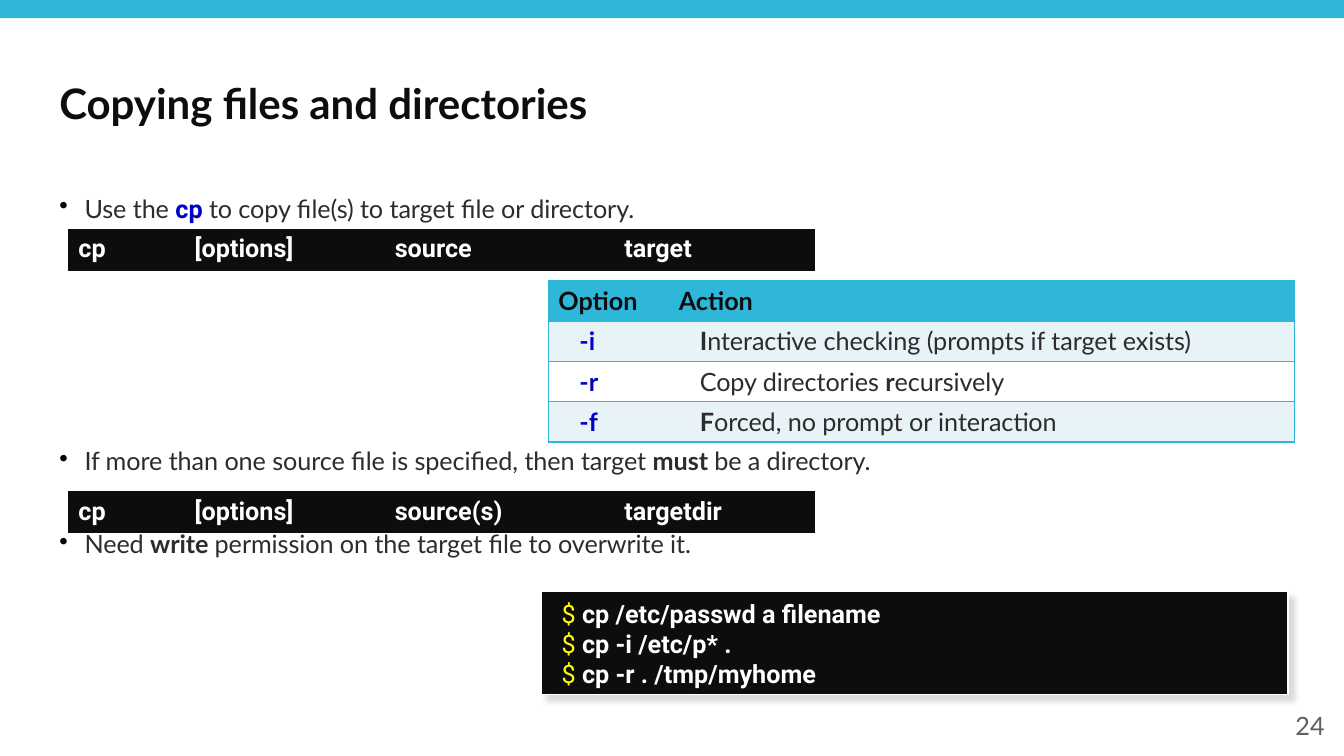
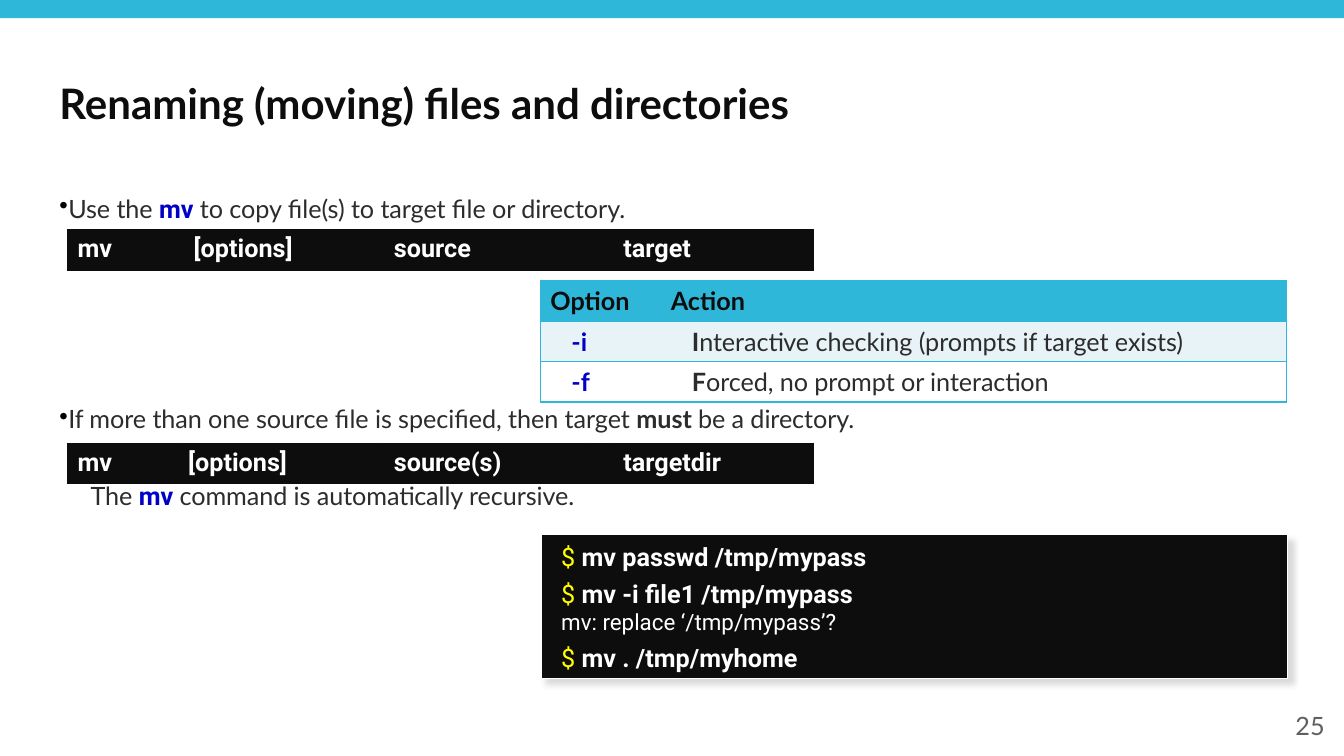
from dataclasses import dataclass

from lxml import etree
from pptx import Presentation
from pptx.dml.color import RGBColor
from pptx.enum.shapes import MSO_SHAPE
from pptx.enum.text import MSO_ANCHOR, PP_ALIGN
from pptx.oxml.ns import qn
from pptx.util import Pt

RECTANGLE = MSO_SHAPE.RECTANGLE
MIDDLE, TOP = MSO_ANCHOR.MIDDLE, MSO_ANCHOR.TOP
LEFT, RIGHT = PP_ALIGN.LEFT, PP_ALIGN.RIGHT


# Theme: every colour, font and type size
@dataclass(frozen=True)
class Theme:
    accent: str = "2FB7DA"
    ink: str = "0D0D0D"
    body: str = "2D2C2C"
    command: str = "0000C7"
    prompt: str = "FFFF00"
    muted: str = "5F5F5F"
    stripe: str = "E8F3F8"
    white: str = "FFFFFF"
    bullet: str = "000000"
    shadow: str = "DADADA"
    prose_font: str = "Lato"
    code_font: str = "Roboto"
    title_size: int = 30
    text_size: int = 18
    output_size: int = 16


THEME = Theme()


def text_style(color, name=THEME.prose_font, size=THEME.text_size, bold=False, spacing=0):
    return {"color": color, "spacing": spacing,
            "font": {"name": name, "size": Pt(size), "bold": bold}}


STYLES = {
    "title": text_style(THEME.ink, size=THEME.title_size, bold=True),
    "heading": text_style(THEME.ink, bold=True),
    "body": text_style(THEME.body, spacing=-6),
    "strong": text_style(THEME.body, bold=True, spacing=-6),
    "command": text_style(THEME.command, THEME.code_font, bold=True),
    "option": text_style(THEME.command, bold=True),
    "prompt": text_style(THEME.prompt, THEME.code_font),
    "code": text_style(THEME.white, THEME.code_font, bold=True),
    "output": text_style(THEME.white, THEME.code_font, THEME.output_size),
    "number": text_style(THEME.muted),
}

# Shared measures, in points
SLIDE_SIZE = (960, 540)
PANEL_WIDTH = 533
ROW_HEIGHT = 28.8
OPTION_COLUMNS = (86, 447)
OPTION_INDENT = 15


def set_all(target, formats):
    for name, value in formats.items():
        setattr(target, name, value)


def rgb(color):
    return RGBColor.from_string(color)


def add_color(parent, color):
    return etree.SubElement(parent, qn("a:srgbClr"), val=color)


# Text
def write_paragraph(paragraph, runs, left=0, indent=0, bullet=False, formats=None):
    properties = paragraph._p.get_or_add_pPr()
    properties.set("marL", str(Pt(left)))
    properties.set("indent", str(Pt(indent)))
    if bullet:
        add_color(etree.SubElement(properties, qn("a:buClr")), THEME.bullet)
        etree.SubElement(properties, qn("a:buChar"), char="•")
    set_all(paragraph, formats or {})
    for style_name, text in runs:
        style = STYLES[style_name]
        run = paragraph.add_run()
        run.text = text
        set_all(run.font, style["font"])
        run.font.color.rgb = rgb(style["color"])
        if style["spacing"]:
            run._r.get_or_add_rPr().set("spc", str(style["spacing"]))


def write_paragraphs(text_frame, paragraphs):
    for index, options in enumerate(paragraphs):
        paragraph = text_frame.paragraphs[0] if index == 0 else text_frame.add_paragraph()
        write_paragraph(paragraph, **options)


def add_text(slide, box, paragraphs, anchor=TOP):
    shape = slide.shapes.add_textbox(*map(Pt, box))
    set_all(shape.text_frame, {"word_wrap": True, "vertical_anchor": anchor})
    write_paragraphs(shape.text_frame, paragraphs)


# Shapes
def add_rectangle(slide, box, color):
    shape = slide.shapes.add_shape(RECTANGLE, *map(Pt, box))
    shape.shadow.inherit = False
    shape.fill.solid()
    shape.fill.fore_color.rgb = rgb(color)
    shape.line.fill.background()
    return shape


def add_terminal(slide, left, top, height, lines):
    shape = add_rectangle(slide, (left, top, PANEL_WIDTH, height), THEME.ink)
    shape.line.color.rgb = rgb(THEME.white)
    shape.line.width = Pt(1)
    effects = shape._element.spPr.find(qn("a:effectLst"))
    shadow = etree.SubElement(effects, qn("a:outerShdw"), blurRad=str(Pt(4)),
                              dist=str(Pt(5)), dir="2700000", algn="tl", rotWithShape="0")
    add_color(shadow, THEME.shadow)
    set_all(shape.text_frame, {"word_wrap": True, "vertical_anchor": TOP,
                               "margin_top": Pt(7.2), "margin_bottom": Pt(4.3)})
    write_paragraphs(shape.text_frame, [
        {"runs": runs, "left": 7.2, "formats": {"alignment": LEFT, **formats}}
        for runs, formats in lines])


# Tables
def set_borders(cell, color, sides):
    properties = cell._tc.get_or_add_tcPr()
    for index, side in enumerate("LRTB"):
        line = etree.Element(qn(f"a:ln{side}"), w=str(Pt(1)))
        if side in sides:
            add_color(etree.SubElement(line, qn("a:solidFill")), color)
        else:
            etree.SubElement(line, qn("a:noFill"))
        properties.insert(index, line)


def add_table(slide, left, top, widths, row_count):
    frame = slide.shapes.add_table(row_count, len(widths), Pt(left), Pt(top),
                                   Pt(sum(widths)), Pt(ROW_HEIGHT * row_count))
    table = frame.table
    set_all(table, {"first_row": False, "horz_banding": False})
    for column, width in zip(table.columns, widths):
        column.width = Pt(width)
    for row in table.rows:
        row.height = Pt(ROW_HEIGHT)
    return table


def fill_cell(cell, runs, color, border, sides, left=0):
    cell.fill.solid()
    cell.fill.fore_color.rgb = rgb(color)
    set_borders(cell, border, sides)
    write_paragraph(cell.text_frame.paragraphs[0], runs, left)


def add_syntax(slide, left, top, words, first_width=83):
    widths = (first_width, 226 - first_width, 145, 19, 143)
    table = add_table(slide, left, top, widths, 1)
    command, options, source, target = words
    for index, word in enumerate((command, options, source, "", target)):
        runs = [("code", word)] if word else []
        fill_cell(table.cell(0, index), runs, THEME.ink, THEME.ink, "LRTB")


def add_options(slide, left, top, options):
    rows = [([("heading", "Option")], [("heading", "Action")])]
    rows += [([("option", flag)], action) for flag, action in options]
    table = add_table(slide, left, top, OPTION_COLUMNS, len(rows))
    for row_index, row in enumerate(rows):
        color = THEME.stripe if row_index % 2 else THEME.white
        if row_index == 0:
            color = THEME.accent
        for column_index, (runs, sides) in enumerate(zip(row, ("LTB", "RTB"))):
            fill_cell(table.cell(row_index, column_index), runs, color, THEME.accent,
                      sides, OPTION_INDENT if row_index else 0)


# Parts that every slide has
def add_frame(presentation, title, number):
    slide = presentation.slides.add_slide(presentation.slide_layouts[6])
    add_rectangle(slide, (0, 0, SLIDE_SIZE[0], 13), THEME.accent)
    add_text(slide, (35.3, 39.6, 890, 67.7), [{"runs": [("title", title)]}], MIDDLE)
    add_text(slide, (737.3, 504, 216, 28.8),
             [{"runs": [("number", str(number))], "formats": {"alignment": RIGHT}}], MIDDLE)
    return slide


def add_points(slide, points):
    add_text(slide, (35.3, 136.8, 890, 342.7), [
        {"runs": runs, **layout,
         "formats": {"line_spacing": 0.9, "space_before": Pt(gap)}}
        for runs, gap, layout in points])


# Wording shared by both slides
INTERACTIVE = ("-i", [("strong", "I"),
                      ("body", "nteractive checking (prompts if target exists)")])
RECURSIVE = ("-r", [("body", "Copy directories "), ("strong", "r"), ("body", "ecursively")])
FORCED = ("-f", [("strong", "F"), ("body", "orced, no prompt or interaction")])
DIRECTORY_RULE = [("body", "If more than one source file is specified, then target "),
                  ("strong", "must "), ("body", "be a directory.")]


def usage(command):
    return [("body", "Use the "), ("command", f"{command} "),
            ("body", "to copy file(s) to target file or directory.")]


def syntax(command, source="source", target="target"):
    return command, "[options]", source, target


def prompt_line(command):
    return [("prompt", "$ "), ("code", command)]


def add_copying_slide(presentation):
    slide = add_frame(presentation, "Copying files and directories", 24)
    hanging = {"left": 18, "indent": -18, "bullet": True}
    permission = [("body", "Need "), ("strong", "write "),
                  ("body", "permission on the target file to overwrite it.")]
    add_points(slide, [(usage("cp"), 0, hanging), (DIRECTORY_RULE, 161.1, hanging),
                       (permission, 39.8, hanging)])
    add_terminal(slide, 386.9, 422.6, 73.5, [
        (prompt_line("cp /etc/passwd a filename"), {"line_spacing": Pt(19)}),
        (prompt_line("cp -i /etc/p* ."), {}),
        (prompt_line("cp -r . /tmp/myhome"), {})])
    add_syntax(slide, 48.8, 164, syntax("cp"))
    add_syntax(slide, 48.8, 351.2, syntax("cp", "source(s)", "targetdir"))
    add_options(slide, 391.7, 200.4, [INTERACTIVE, RECURSIVE, FORCED])


def add_renaming_slide(presentation):
    slide = add_frame(presentation, "Renaming (moving) files and directories", 25)
    tight = {"bullet": True}
    recursion = [("body", "The "), ("command", "mv "),
                 ("body", "command is automatically recursive.")]
    add_points(slide, [(usage("mv"), 0, tight), (DIRECTORY_RULE, 131.1, tight),
                       (recursion, 35, {"left": 22.3})])
    spaced = {"space_before": Pt(4.9)}
    add_terminal(slide, 386.6, 382, 102.5, [
        (prompt_line("mv passwd /tmp/mypass"), {"line_spacing": Pt(19)}),
        (prompt_line("mv -i file1 /tmp/mypass"), spaced),
        ([("output", "mv: replace ‘/tmp/mypass’?")], {"line_spacing": Pt(19)}),
        (prompt_line("mv . /tmp/myhome"), spaced)])
    add_syntax(slide, 48.2, 164, syntax("mv"))
    add_syntax(slide, 48.2, 316.6, syntax("mv", "source(s)", "targetdir"), 79)
    add_options(slide, 386, 200.7, [INTERACTIVE, FORCED])


def main():
    presentation = Presentation()
    width, height = map(Pt, SLIDE_SIZE)
    set_all(presentation, {"slide_width": width, "slide_height": height})
    add_copying_slide(presentation)
    add_renaming_slide(presentation)
    presentation.save("out.pptx")


if __name__ == "__main__":
    main()
